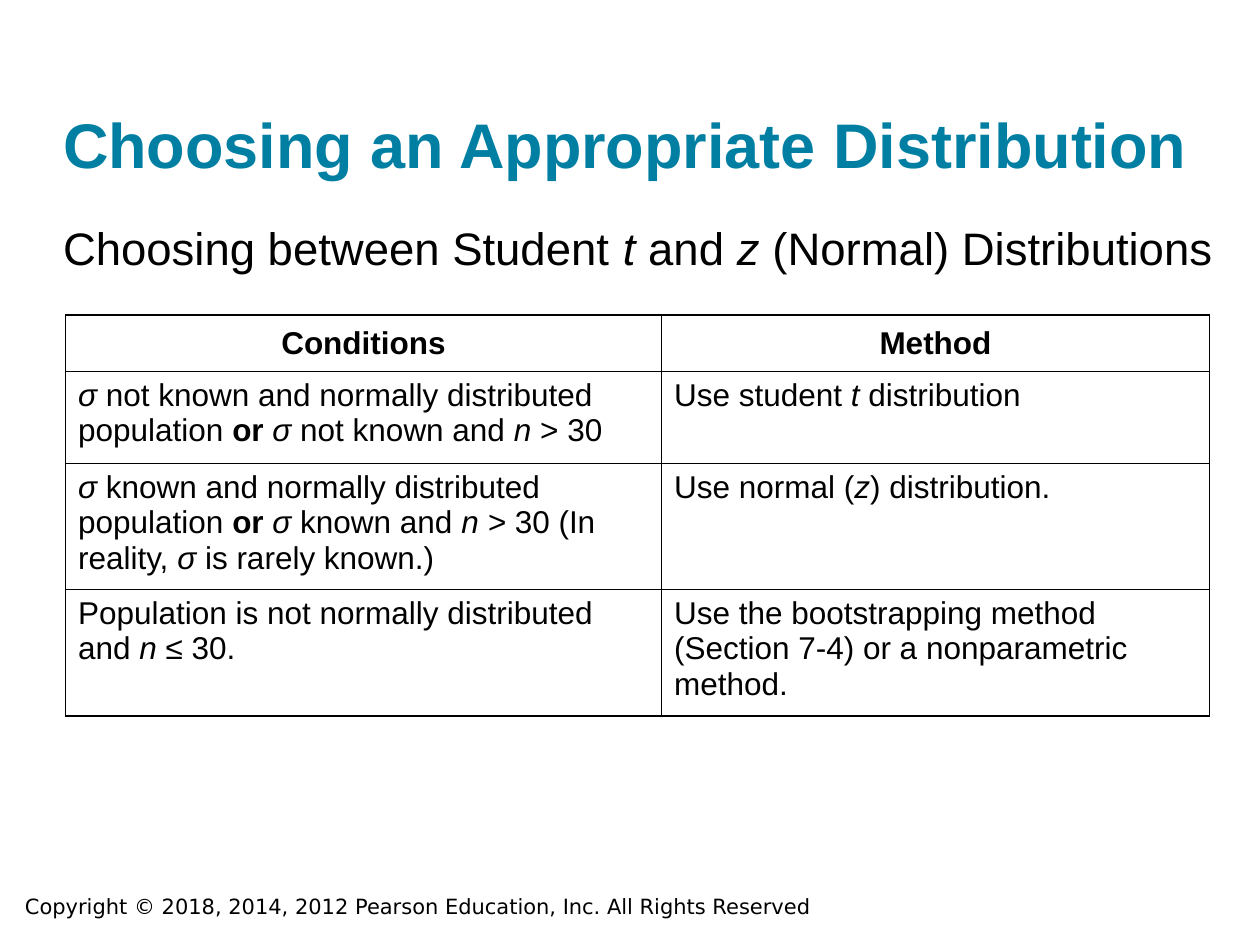
from typing import NamedTuple

from lxml import etree
from pptx import Presentation
from pptx import util as u
from pptx.dml import color
from pptx.enum import text
from pptx.oxml import ns

COLORS = {"title": "007FA3", "text": "000000", "border": "000000", "cell": "FFFFFF"}


class Run(NamedTuple):
    text: str
    bold: bool = False
    italic: bool = False


class Box(NamedTuple):
    left: float
    top: float
    width: float
    height: float


def italic(words: str) -> Run:
    return Run(words, italic=True)


def bold(words: str) -> Run:
    return Run(words, bold=True)


TITLE = [bold("Choosing an Appropriate Distribution")]
SUBTITLE = [Run("Choosing between Student "), italic("t "), Run("and "),
            italic("z "), Run("(Normal) Distributions")]
COPYRIGHT = [Run("Copyright © 2018, 2014, 2012 Pearson Education, Inc. All Rights Reserved")]
ROWS = [
    [[bold("Conditions")], [bold("Method")]],
    [[italic("σ"), Run(" not known and normally distributed population "), bold("or "),
      italic("σ"), Run(" not known and "), italic("n "), Run("> 30")],
     [Run("Use student "), italic("t"), Run(" distribution")]],
    [[italic("σ "), Run("known and normally distributed population "), bold("or "),
      italic("σ "), Run("known and "), italic("n > "), Run("30 (In reality, "),
      italic("σ "), Run("is rarely known.)")],
     [Run("Use normal ("), italic("z"), Run(") distribution.")]],
    [[Run("Population is not normally distributed and"), italic(" n "), Run("≤ 30.")],
     [Run("Use the bootstrapping method (Section 7-4) or a nonparametric method.")]],
]
COLUMN_WIDTHS = [4.73, 4.35]
ROW_HEIGHTS = [0.45, 0.73, 0.94, 0.94]


def write_runs(paragraph, runs: list[Run], size: float,
               color_name: str = "text", font_name: str = "Arial") -> None:
    for part in runs:
        run = paragraph.add_run()
        run.text = part.text
        run.font.name = font_name
        run.font.size = u.Pt(size)
        run.font.bold = part.bold
        run.font.italic = part.italic
        run.font.color.rgb = color.RGBColor.from_string(COLORS[color_name])


def place(shape, box: Box) -> None:
    shape.left, shape.top, shape.width, shape.height = map(u.Inches, box)


def fill_placeholder(shape, box: Box, anchor: text.MSO_ANCHOR):
    place(shape, box)
    frame = shape.text_frame
    frame.margin_left = frame.margin_right = frame.margin_top = frame.margin_bottom = 0
    frame.auto_size = text.MSO_AUTO_SIZE.NONE
    frame.vertical_anchor = anchor
    paragraph = frame.paragraphs[0]
    paragraph.alignment = text.PP_ALIGN.LEFT
    paragraph.space_before = u.Pt(0)
    return paragraph


def remove_bullet(paragraph) -> None:
    properties = paragraph._p.get_or_add_pPr()
    properties.set("marL", "0")
    properties.set("indent", "0")
    etree.SubElement(properties, ns.qn("a:buNone"))


def style_cell(cell) -> None:
    properties = cell._tc.get_or_add_tcPr()
    for side in ("lnL", "lnR", "lnT", "lnB"):
        line = etree.SubElement(properties, ns.qn(f"a:{side}"), w=str(u.Pt(1)))
        fill = etree.SubElement(line, ns.qn("a:solidFill"))
        etree.SubElement(fill, ns.qn("a:srgbClr"), val=COLORS["border"])
    cell.fill.solid()
    cell.fill.fore_color.rgb = color.RGBColor.from_string(COLORS["cell"])


def add_methods_table(slide, box: Box) -> None:
    table = slide.shapes.add_table(len(ROWS), len(COLUMN_WIDTHS), *map(u.Inches, box)).table
    table.horz_banding = False
    for column, width in zip(table.columns, COLUMN_WIDTHS):
        column.width = u.Inches(width)
    for row_index, (row, height) in enumerate(zip(ROWS, ROW_HEIGHTS)):
        table.rows[row_index].height = u.Inches(height)
        for column_index, runs in enumerate(row):
            cell = table.cell(row_index, column_index)
            style_cell(cell)
            paragraph = cell.text_frame.paragraphs[0]
            if row_index == 0:
                cell.vertical_anchor = text.MSO_ANCHOR.MIDDLE
                paragraph.alignment = text.PP_ALIGN.CENTER
            write_runs(paragraph, runs, 18)


def add_copyright(slide, box: Box) -> None:
    frame = slide.shapes.add_textbox(*map(u.Inches, box)).text_frame
    frame.word_wrap = True
    write_runs(frame.paragraphs[0], COPYRIGHT, 12, font_name="DejaVu Sans")


def main() -> None:
    presentation = Presentation()
    presentation.slide_width, presentation.slide_height = u.Inches(10), u.Inches(7.5)
    slide = presentation.slides.add_slide(presentation.slide_layouts[1])

    add_copyright(slide, Box(0.1, 7.04, 7.83, 0.3))
    title = fill_placeholder(slide.shapes.title, Box(0.5, 0.24, 9, 1.2), text.MSO_ANCHOR.BOTTOM)
    write_runs(title, TITLE, 36, "title")
    subtitle = fill_placeholder(slide.placeholders[1], Box(0.5, 1.75, 9.17, 0.5),
                                text.MSO_ANCHOR.TOP)
    remove_bullet(subtitle)
    write_runs(subtitle, SUBTITLE, 26)
    add_methods_table(slide, Box(0.52, 2.5, sum(COLUMN_WIDTHS), sum(ROW_HEIGHTS)))

    presentation.save("out.pptx")


if __name__ == "__main__":
    main()
